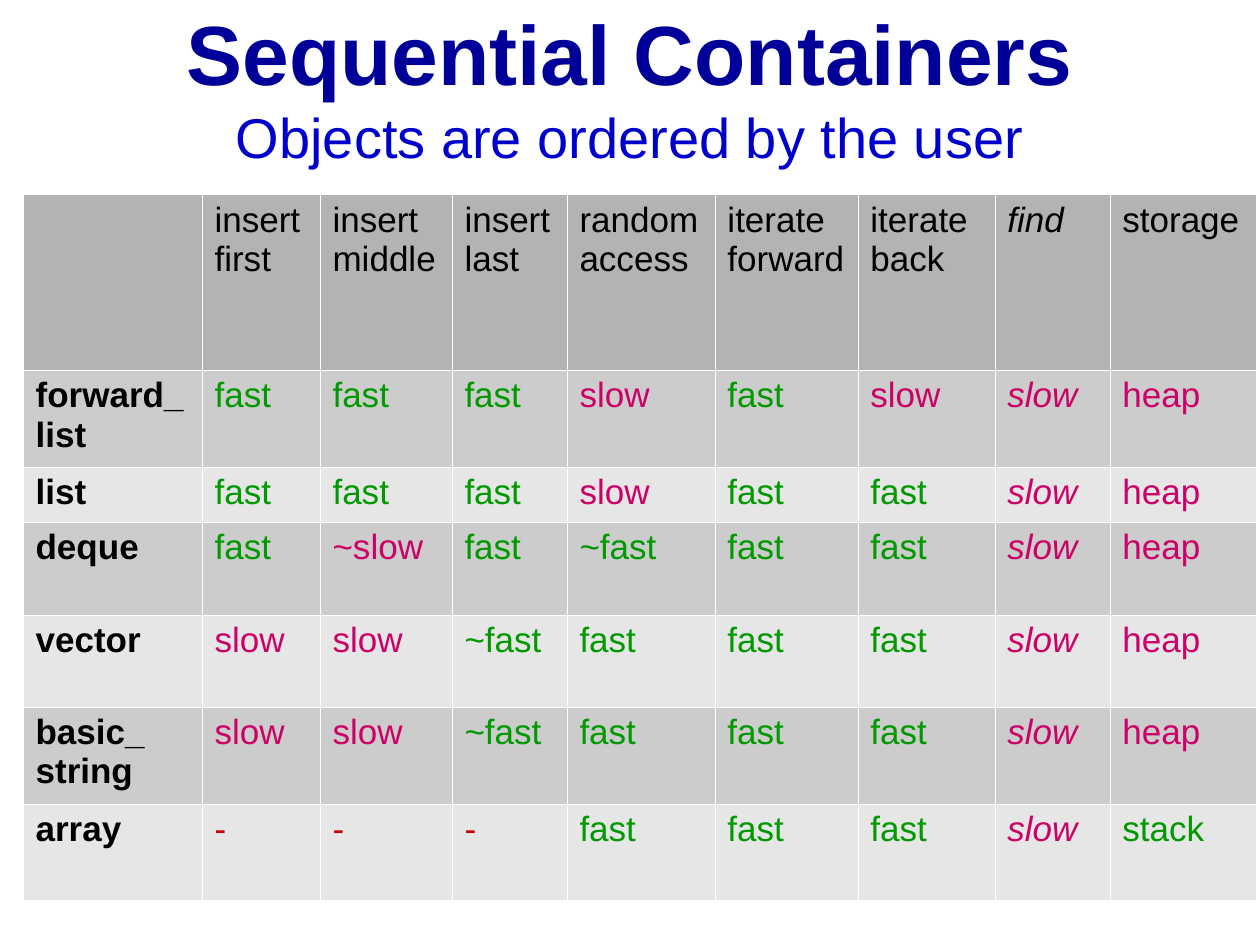
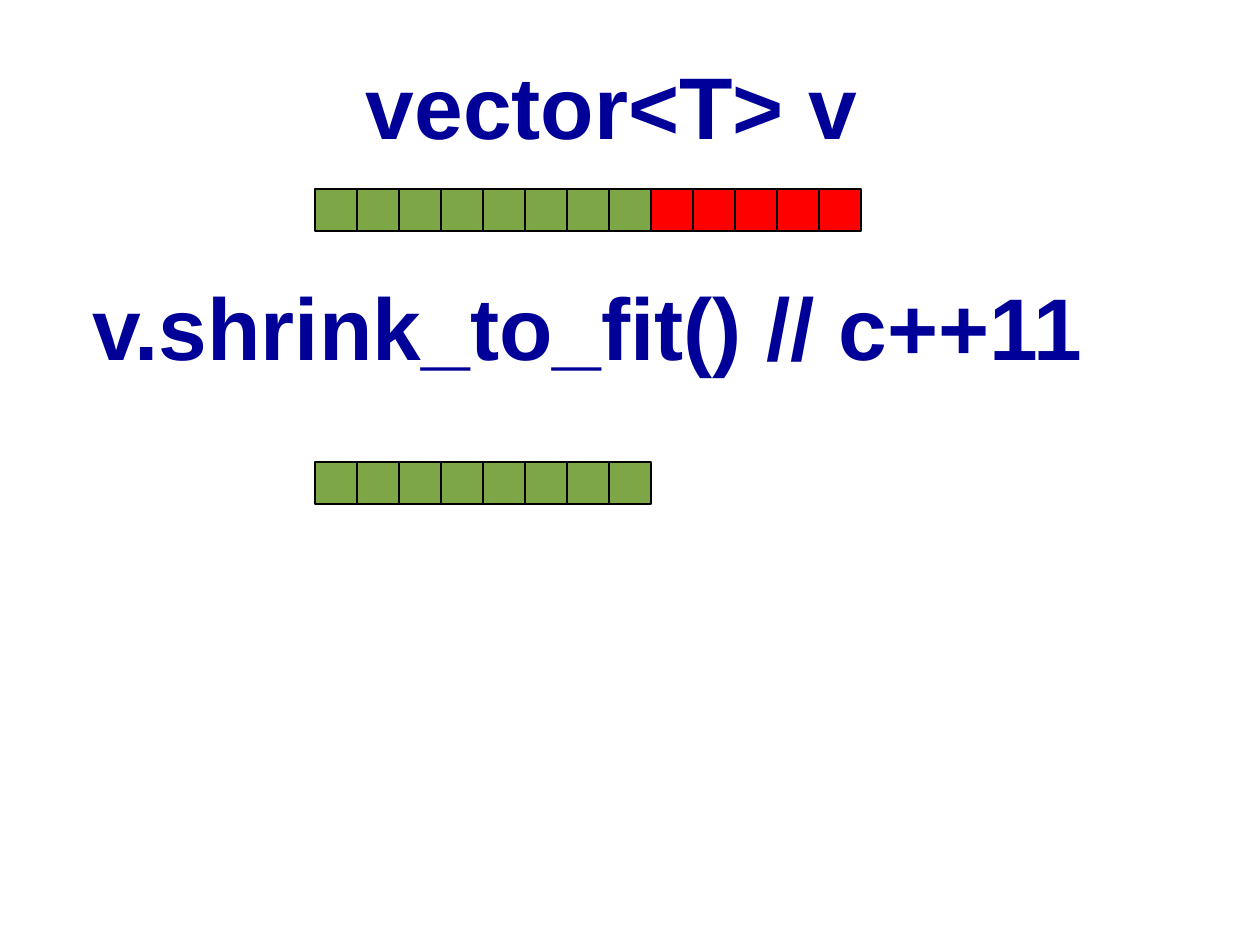
from lxml import etree
from pptx import Presentation
from pptx import util as u
from pptx.dml.color import RGBColor
from pptx.enum import shapes, text
from pptx.oxml import ns

SCALE = 914400 / 126  # EMU in one px
FONT = "Arial"
NAVY, BLUE, BLACK, WHITE = "000099", "0000CC", "000000", "FFFFFF"
GOOD, BAD, NONE = "009900", "CC0066", "CC0000"
HEADER_FILL, ROW_FILLS = "B3B3B3", ("CCCCCC", "E6E6E6")
USED, SPARE = "7DA647", "FF0000"

HEADINGS = ["", "insert first", "insert middle", "insert last", "random access",
            "iterate forward", "iterate back", "find", "storage"]
CONTAINERS = [
    ["forward_\nlist", "fast", "fast", "fast", "slow", "fast", "slow", "slow", "heap"],
    ["list", "fast", "fast", "fast", "slow", "fast", "fast", "slow", "heap"],
    ["deque", "fast", "~slow", "fast", "~fast", "fast", "fast", "slow", "heap"],
    ["vector", "slow", "slow", "~fast", "fast", "fast", "fast", "slow", "heap"],
    ["basic_\nstring", "slow", "slow", "~fast", "fast", "fast", "fast", "slow", "heap"],
    ["array", "-", "-", "-", "fast", "fast", "fast", "slow", "stack"],
]
RATING_COLORS = {"fast": GOOD, "stack": GOOD, "slow": BAD, "heap": BAD, "-": NONE}
FIND_COLUMN = HEADINGS.index("find")
TABLE_LEFT, TABLE_TOP = 23, 194
COLUMN_WIDTHS = [179, 118, 132, 115, 148, 143, 137, 115, 146]
ROW_HEIGHTS = [176, 97, 55, 93, 92, 97, 96]

CELL, VECTOR_LEFT = 42, 315
VECTORS = [(189, [USED] * 8 + [SPARE] * 5), (462, [USED] * 8)]  # top, cell colours


def px(n):
    return u.Emu(round(n * SCALE))


def rgb(color):
    return RGBColor.from_string(color)


def add_text(p, words, size=20, color=BLACK, bold=False, italic=False):
    for i, line in enumerate(words.split("\n")):
        if i:
            p.add_line_break()
        r = p.add_run()
        r.text = line
        f = r.font
        f.name, f.size, f.bold, f.italic = FONT, u.Pt(size), bold, italic
        f.color.rgb = rgb(color)


def add_heading(sp, box, words, wrap=False):
    """Place a title or text box and start it with a large centred line."""
    sp.left, sp.top, sp.width, sp.height = map(px, box)
    tf = sp.text_frame
    tf.auto_size = text.MSO_AUTO_SIZE.NONE
    tf.word_wrap = wrap
    tf.vertical_anchor = text.MSO_ANCHOR.MIDDLE
    tf.margin_left = tf.margin_right = tf.margin_top = tf.margin_bottom = 0
    p = tf.paragraphs[0]
    p.alignment = text.PP_ALIGN.CENTER
    add_text(p, words, 48 if wrap else 50, NAVY, bold=True)
    return p


def format_cell(cell, fill):
    tcPr = cell._tc.get_or_add_tcPr()
    for side in ("a:lnL", "a:lnR", "a:lnT", "a:lnB"):
        ln = etree.SubElement(tcPr, ns.qn(side), w="762")
        solid = etree.SubElement(ln, ns.qn("a:solidFill"))
        etree.SubElement(solid, ns.qn("a:srgbClr"), val=WHITE)
    cell.fill.solid()
    cell.fill.fore_color.rgb = rgb(fill)


def add_container_table(s):
    rows = [HEADINGS] + CONTAINERS
    table = s.shapes.add_table(
        len(rows), len(HEADINGS), px(TABLE_LEFT), px(TABLE_TOP),
        px(sum(COLUMN_WIDTHS)), px(sum(ROW_HEIGHTS))).table
    table.first_row = table.horz_banding = False
    for column, width in zip(table.columns, COLUMN_WIDTHS):
        column.width = px(width)
    for row, height in zip(table.rows, ROW_HEIGHTS):
        row.height = px(height)
    for i, row in enumerate(rows):
        for j, words in enumerate(row):
            cell = table.cell(i, j)
            format_cell(cell, ROW_FILLS[(i - 1) % 2] if i else HEADER_FILL)
            if words:
                rated = i and j
                add_text(cell.text_frame.paragraphs[0], words,
                         color=RATING_COLORS[words.lstrip("~")] if rated else BLACK,
                         bold=bool(i and not j), italic=j == FIND_COLUMN)


def add_vector(s, top, colors):
    for i, color in enumerate(colors):
        sp = s.shapes.add_shape(shapes.MSO_SHAPE.RECTANGLE, px(VECTOR_LEFT + i * CELL),
                                px(top), px(CELL), px(CELL))
        sp.shadow.inherit = False
        sp.fill.solid()
        sp.fill.fore_color.rgb = rgb(color)
        sp.line.color.rgb = rgb(BLACK)
        sp.line.width = u.Pt(0.75)


def main():
    prs = Presentation()
    prs.slide_width, prs.slide_height = px(1260), px(945)
    title_only = prs.slide_layouts[5]

    s = prs.slides.add_slide(title_only)
    p = add_heading(s.shapes.title, (76, -4, 1108, 180), "Sequential Containers", wrap=True)
    p.add_line_break()
    add_text(p, "Objects are ordered by the user", 32, BLUE)
    add_container_table(s)

    s = prs.slides.add_slide(title_only)
    add_heading(s.shapes.title, (364, 26, 495, 158), "vector<T> v")
    call_box = s.shapes.add_textbox(0, 0, 0, 0)
    add_heading(call_box, (92, 273, 992, 105), "v.shrink_to_fit() // c++11")
    for top, colors in VECTORS:
        add_vector(s, top, colors)

    prs.save("out.pptx")


if __name__ == "__main__":
    main()
